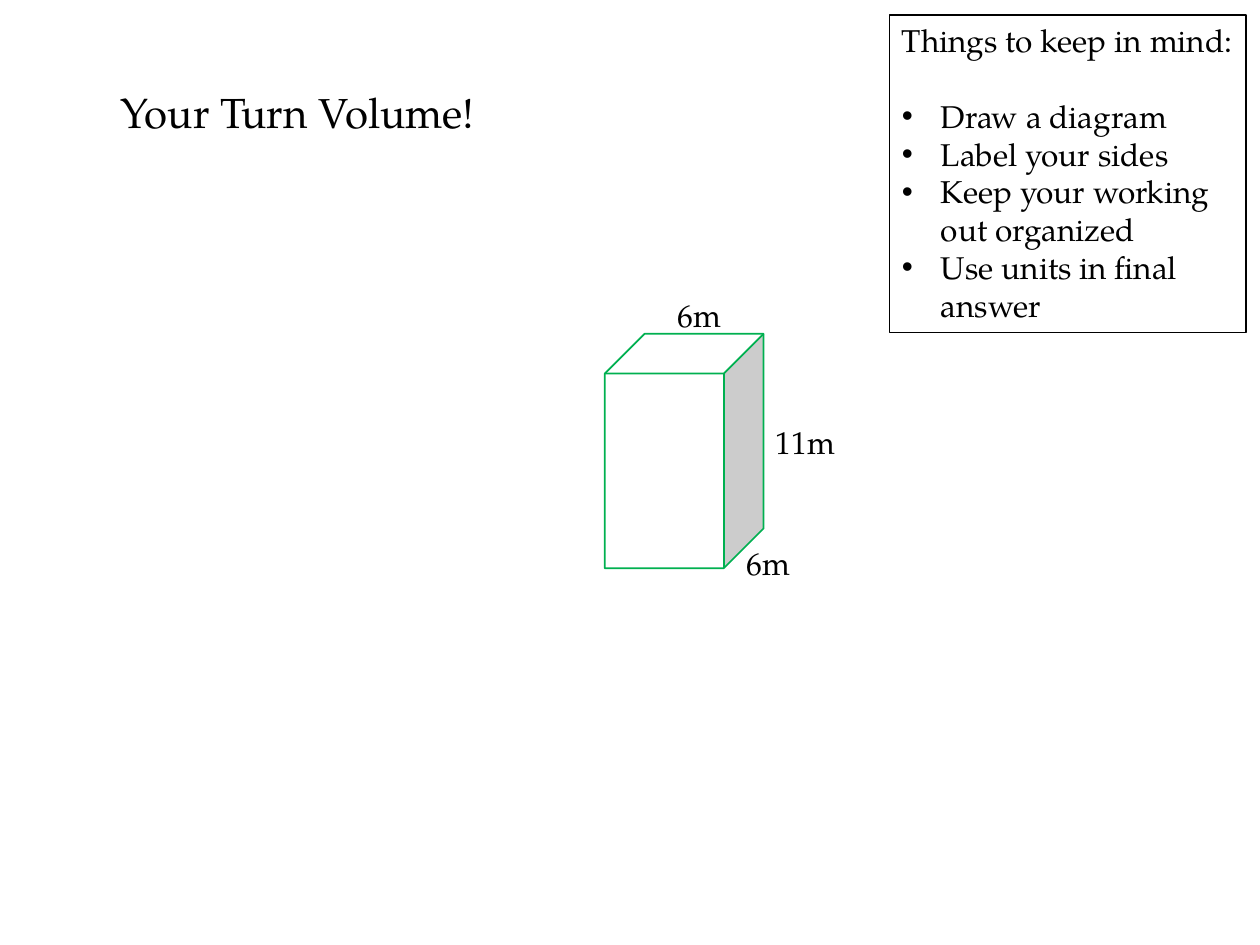
from pptx import Presentation
from pptx.dml.color import RGBColor
from pptx.enum.shapes import MSO_SHAPE
from pptx.enum.text import MSO_ANCHOR
from pptx.util import Inches, Pt
from lxml.etree import SubElement
from pptx.oxml.ns import qn

TITLE = "Your Turn Volume!"
HEAD = "Things to keep in mind:"
TIPS = [
    "Draw a diagram",
    "Label your sides",
    "Keep your working out organized",
    "Use units in final answer",
]
SIDES = [("6m", 5.28, 2.3), ("11m", 6.06, 3.31), ("6m", 5.83, 4.27)]

THEME = {
    "font": "TeX Gyre Pagella",
    "ink": RGBColor(0, 0, 0),
    "paper": RGBColor(255, 255, 255),
    "edge": RGBColor(0, 176, 80),
    "title": Pt(24),
    "body": Pt(18),
}


def write(para, text, size="body"):
    run = para.add_run()
    run.text = text
    run.font.name = THEME["font"]
    run.font.size = THEME[size]
    run.font.color.rgb = THEME["ink"]


def label(slide, text, box, size="body"):
    frame = slide.shapes.add_textbox(*map(Inches, box)).text_frame
    frame.word_wrap = True
    write(frame.paragraphs[0], text, size)
    return frame


def bullet(para):
    props = para._p.get_or_add_pPr()
    props.set("marL", str(Inches(0.31)))
    props.set("indent", str(-Inches(0.31)))
    SubElement(props, qn("a:buFont")).set("typeface", "Arial")
    SubElement(props, qn("a:buChar")).set("char", "•")


def add_title(slide):
    frame = label(slide, TITLE, (0.86, 0.25, 7.88, 1.25), "title")
    frame.vertical_anchor = MSO_ANCHOR.BOTTOM
    frame.margin_bottom = Inches(0.41)
    frame.paragraphs[0].line_spacing = 0.9


def add_prism(slide):
    cube = slide.shapes.add_shape(
        MSO_SHAPE.CUBE, *map(Inches, (4.8, 2.65, 1.26, 1.86)))
    cube.shadow.inherit = False
    cube.fill.solid()
    cube.fill.fore_color.rgb = THEME["paper"]
    cube.line.color.rgb = THEME["edge"]
    cube.line.width = Pt(1)
    for text, left, top in SIDES:
        label(slide, text, (left, top, 1.02, 0.4))


def add_tips(slide):
    box = slide.shapes.add_textbox(*map(Inches, (7.06, 0.12, 2.83, 2.52)))
    box.line.color.rgb = THEME["ink"]
    box.line.width = Pt(0.75)
    frame = box.text_frame
    frame.word_wrap = True
    write(frame.paragraphs[0], HEAD)
    for i, tip in enumerate(TIPS):
        para = frame.add_paragraph()
        if i == 0:
            para.space_before = Pt(21.5)
        bullet(para)
        write(para, tip)


def main():
    deck = Presentation()
    deck.slide_width, deck.slide_height = Inches(10), Inches(7.5)
    slide = deck.slides.add_slide(deck.slide_layouts[6])
    add_title(slide)
    add_prism(slide)
    add_tips(slide)
    deck.save("out.pptx")


if __name__ == "__main__":
    main()
